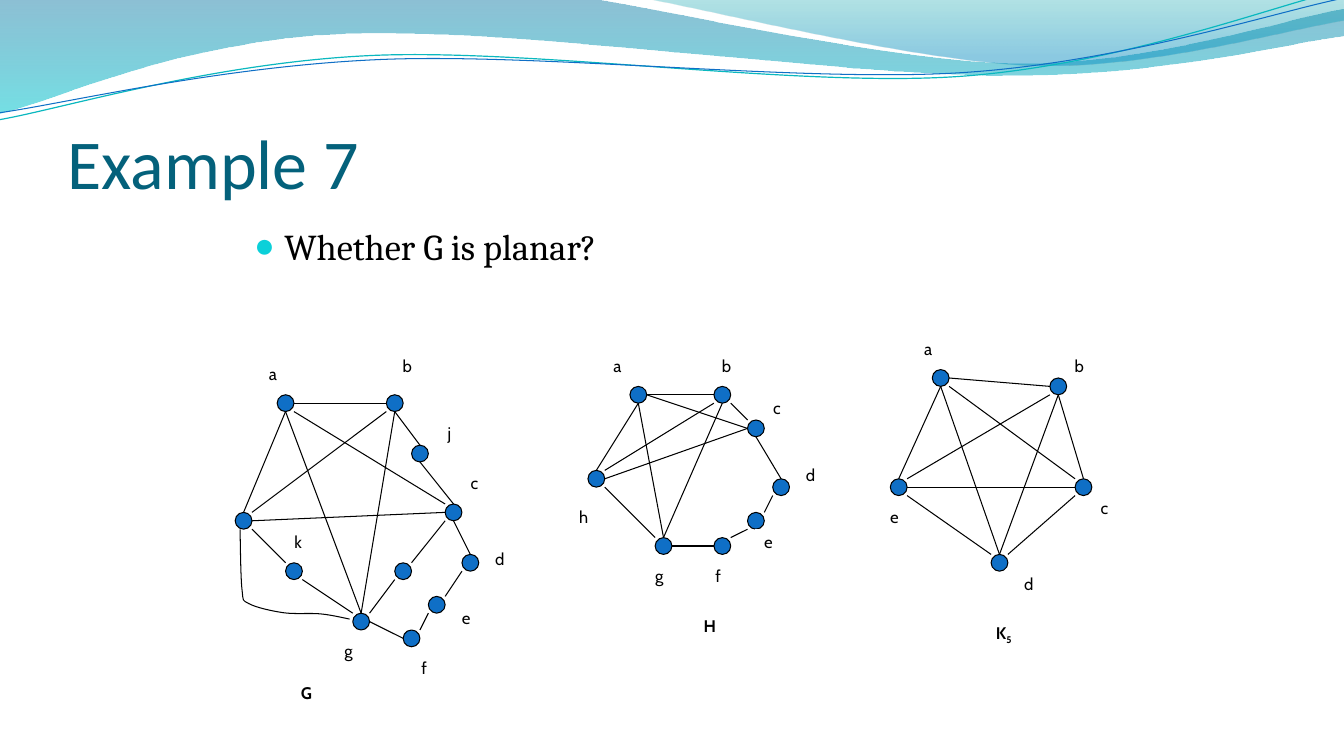
from dataclasses import dataclass
from itertools import combinations
from math import hypot

from lxml.etree import SubElement
from pptx import Presentation
from pptx.dml.color import RGBColor
from pptx.enum.shapes import MSO_CONNECTOR, MSO_SHAPE
from pptx.enum.text import MSO_ANCHOR, MSO_AUTO_SIZE, PP_ALIGN
from pptx.oxml.ns import qn
from pptx.util import Cm, Pt

# Content
TITLE = "Example 7"
QUESTION = "Whether G is planar?"

# Graphs: left and top in grid steps of a twelfth of an inch
GRAPHS = [
    {
        "vertices": {"a": (33, 47), "b": (46, 47), "c": (53, 60), "d": (55, 66),
                     "e": (51, 71), "f": (48, 75), "g": (42, 73), "h": (28, 61),
                     "i": (47, 67), "j": (49, 53), "k": (34, 67)},
        "edges": "ha ab bj jc ci ig hk kg gf fe ed dc hc ac hb ag bg".split(),
        "labels": {"a": (31, 43), "b": (47, 42), "c": (55, 56), "d": (58, 65),
                   "e": (54, 72), "f": (49, 78), "g": (40, 76), "j": (52, 50),
                   "k": (34, 63)},
        "name": ("G", "", 35, 81),
    },
    {
        "vertices": {"a": (75, 46), "b": (85, 46), "c": (89, 50), "d": (92, 57),
                     "e": (89, 61), "f": (85, 64), "g": (78, 64), "h": (70, 56)},
        "edges": "ab bc cd de ef fg gh ha hb hc ag ac bg".split(),
        "labels": {"a": (72, 42), "b": (85, 42), "c": (91, 47), "d": (95, 55),
                   "e": (90, 63), "f": (84, 67), "g": (77, 67), "h": (68, 60)},
        "name": ("H", "", 83, 73),
    },
    {
        "vertices": {"a": (111, 44), "b": (125, 45), "c": (128, 57),
                     "d": (118, 66), "e": (106, 57)},
        "edges": list(combinations("abcde", 2)),
        "labels": {"a": (109, 40), "b": (127, 42), "c": (130, 59),
                   "d": (121, 68), "e": (105, 60)},
        "name": ("K", "5", 118, 74),
    },
]

# Outlines in cm: each list is a smooth run through its points,
# and straight lines join one run to the next
LOOP = [[(6.05, 13.34), (6.1, 14.86), (6.27, 15.21), (7.14, 15.44),
         (8.08, 15.47), (8.81, 15.6)]]
# Bands add gradient stops: position, colour, opacity in percent
BANDS = [
    ([[(0, 0)], [(14.91, -0.03), (25.68, 1.6), (33.86, 0.23)],
      [(33.91, 0.91), (25.25, 1.91), (8.71, 0.86), (-0.03, 2.87)]],
     [(0, "0074A1", 45), (1, "00C6CF", 55)]),
    ([[(16.23, -0.03), (26.04, 1.65), (33.86, 0.53)], [(33.86, 0)]],
     [(0, "00A1A9", 30), (0.8, "008BBF", 45)]),
]
RIPPLES = [
    ([[(-0.03, 3.02), (9.37, 1.4), (24.13, 1.93), (33.81, -0.25)]], "0AB8BF", 0.85),
    ([[(0, 2.84), (9.6, 1.5), (24.26, 1.83), (33.88, -0.05)]], "0F6FC6", 0.75),
]


@dataclass(frozen=True)
class Theme:
    title: tuple = ("Calibri", 50, "04617B")
    body: tuple = ("Cambria", 26, "000000")
    label: tuple = ("Cabin", 12, "000000")
    bullet: str = "0BD0D9"
    vertex: str = "0F6FC6"
    ink: str = "000000"
    paper: str = "FFFFFF"
    stroke: float = 0.75


THEME = Theme()
VERTEX_STEPS, LABEL_STEPS = 2, 3


def grid(steps):
    return Cm(2.54 * steps / 12)


def style_font(font, style, bold=False):
    font.name, font.size, font.bold = style[0], Pt(style[1]), bold
    font.color.rgb = RGBColor.from_string(style[2])


def style_line(line, colour, width=THEME.stroke):
    line.color.rgb = RGBColor.from_string(colour)
    line.width = Pt(width)


def smooth(run):
    """Return curves through the points, each with two controls and an end."""
    padded = [run[0], *run, run[-1]]
    curves = []
    for before, start, end, after in zip(padded, padded[1:], padded[2:], padded[3:]):
        leave = tuple(s + (e - b) / 6 for b, s, e in zip(before, start, end))
        arrive = tuple(e - (a - s) / 6 for s, e, a in zip(start, end, after))
        curves.append([leave, arrive, end])
    return curves


def add_outline(outline, close=False):
    """Draw straight segments, then turn each group of three into a curve."""
    segments = [s for run in outline for s in [[run[0]], *smooth(run)]]
    start, *points = [(Cm(x), Cm(y)) for s in segments for x, y in s]
    builder = shapes.build_freeform(*start)
    builder.add_line_segments(points, close=close)
    shape = builder.convert_to_shape()
    shape.shadow.inherit = False
    path = shape.element.xpath(".//a:path")[0]
    steps = iter(path.findall(qn("a:lnTo")))
    for segment in segments[1:]:
        group = [next(steps) for _ in segment]
        if len(group) == 3:
            curve = SubElement(path, qn("a:cubicBezTo"))
            group[0].addprevious(curve)
            for step in group:
                curve.append(step[0])
                path.remove(step)
    return shape


def add_stroke(outline, colour, width=THEME.stroke):
    stroke = add_outline(outline)
    stroke.fill.background()
    style_line(stroke.line, colour, width)


def add_band(outline, stops):
    band = add_outline(outline, close=True)
    band.line.fill.background()
    band.fill.gradient()
    band.fill.gradient_angle = 270
    for stop, (position, colour, _) in zip(band.fill.gradient_stops, stops):
        stop.position = position
        stop.color.rgb = RGBColor.from_string(colour)
    for node, (_, _, opacity) in zip(band.element.xpath(".//a:gs/a:srgbClr"), stops):
        SubElement(node, qn("a:alpha")).set("val", str(opacity * 1000))


def add_block(kind, left, top, steps, fill, line):
    block = shapes.add_shape(kind, grid(left), grid(top), grid(steps), grid(steps))
    block.shadow.inherit = False
    block.fill.solid()
    block.fill.fore_color.rgb = RGBColor.from_string(fill)
    style_line(block.line, line)
    return block


def add_edge(start, end):
    """Join two vertices at the side or corner that faces the other one."""
    run, rise = end[0] - start[0], end[1] - start[1]
    length = hypot(run, rise)
    across, down = round(run / length), round(rise / length)
    ends = (start[0] + 1 + across, start[1] + 1 + down,
            end[0] + 1 - across, end[1] + 1 - down)
    edge = shapes.add_connector(MSO_CONNECTOR.STRAIGHT, *map(grid, ends))
    style_line(edge.line, THEME.ink)
    SubElement(edge.element.xpath("p:spPr")[0], qn("a:effectLst"))


def add_label(text, left, top, subscript="", bold=False):
    frame = add_block(MSO_SHAPE.RECTANGLE, left, top, LABEL_STEPS,
                      THEME.paper, THEME.paper).text_frame
    frame.word_wrap = False
    frame.vertical_anchor = MSO_ANCHOR.MIDDLE
    line = frame.paragraphs[0]
    line.text = text
    line.alignment = PP_ALIGN.CENTER
    if subscript:
        lowered = line.add_run()
        lowered.text = subscript
        lowered.font._element.set("baseline", "-25000")
    for run in line.runs:
        style_font(run.font, THEME.label, bold)


def place(holder, text, left, top, width, height):
    holder.left, holder.top, holder.width, holder.height = map(
        Cm, (left, top, width, height))
    holder.text_frame.text = text
    holder.text_frame.auto_size = MSO_AUTO_SIZE.NONE
    line = holder.text_frame.paragraphs[0]
    line.alignment = PP_ALIGN.LEFT
    line.space_before = Pt(0)
    return holder.text_frame, line


deck = Presentation()
deck.slide_width, deck.slide_height = Cm(33.87), Cm(19.05)
slide = deck.slides.add_slide(deck.slide_layouts[1])
shapes = slide.shapes
heading, question = slide.placeholders

# Waves along the top, behind the text
for band in BANDS:
    add_band(*band)
for ripple in RIPPLES:
    add_stroke(*ripple)
for holder in (heading, question):
    shapes.element.append(holder.element)

# Title
frame, line = place(heading, TITLE, 1.7, 1.96, 30.48, 3.18)
frame.vertical_anchor = MSO_ANCHOR.BOTTOM
frame.margin_left = frame.margin_right = frame.margin_bottom = 0
style_font(line.runs[0].font, THEME.title)

# Question with its bullet
frame, line = place(question, QUESTION, 6.15, 5.51, 21.59, 2.03)
properties = line._p.get_or_add_pPr()
properties.set("marL", str(Cm(0.76)))
properties.set("indent", str(-Cm(0.76)))
bullet_colour = SubElement(properties, qn("a:buClr"))
SubElement(bullet_colour, qn("a:srgbClr")).set("val", THEME.bullet)
SubElement(properties, qn("a:buSzPct")).set("val", "95000")
SubElement(properties, qn("a:buChar")).set("char", "●")
style_font(line.runs[0].font, THEME.body)

# Graphs
for graph in GRAPHS:
    vertices = graph["vertices"]
    for left, top in vertices.values():
        add_block(MSO_SHAPE.OVAL, left, top, VERTEX_STEPS, THEME.vertex, THEME.ink)
    for start, end in graph["edges"]:
        add_edge(vertices[start], vertices[end])
    for letter, (left, top) in graph["labels"].items():
        add_label(letter, left, top)
    name, subscript, left, top = graph["name"]
    add_label(name, left, top, subscript, bold=True)
add_stroke(LOOP, THEME.ink)

deck.save("out.pptx")
